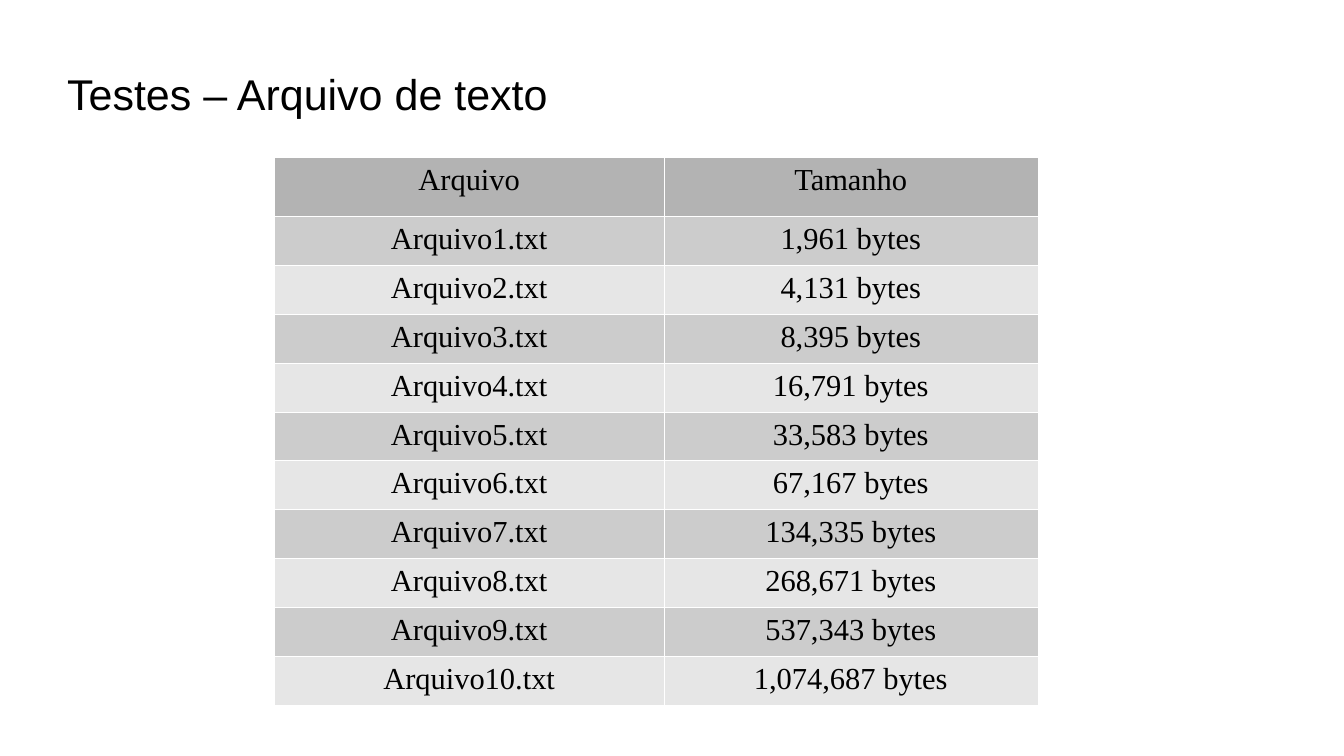
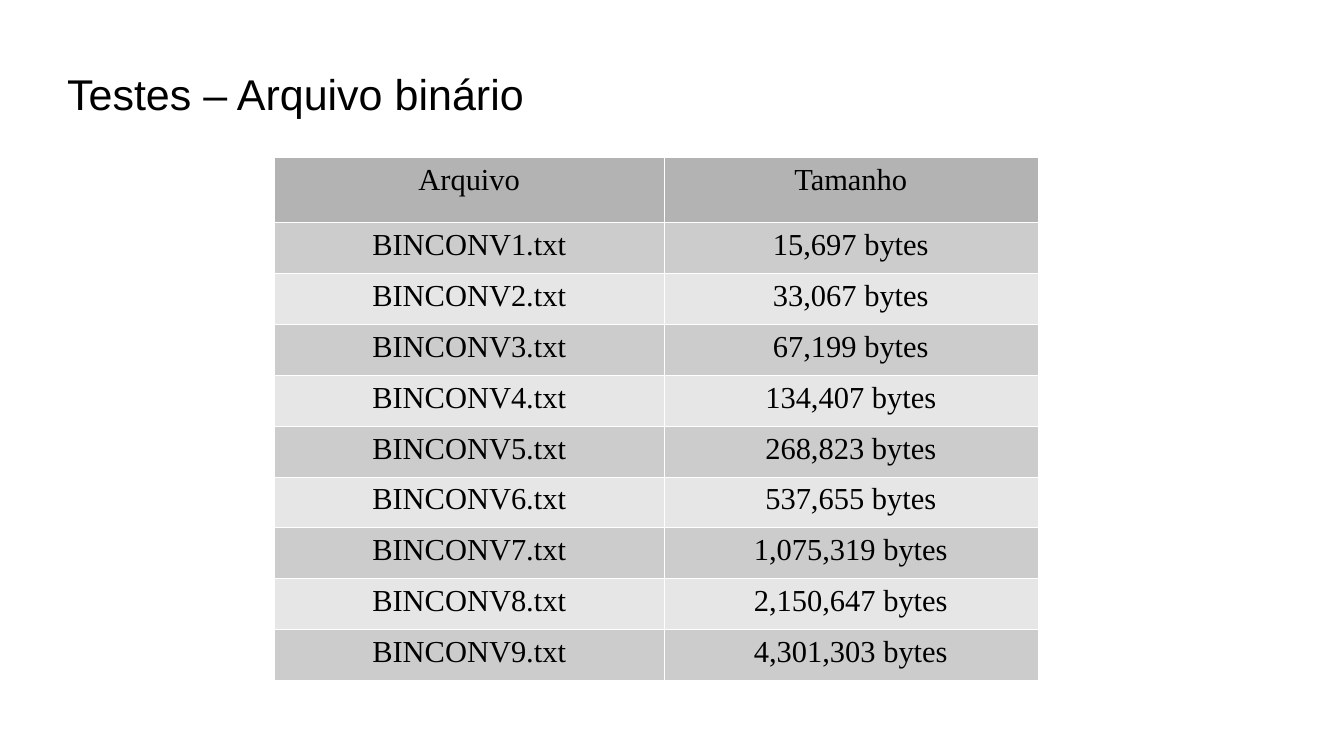
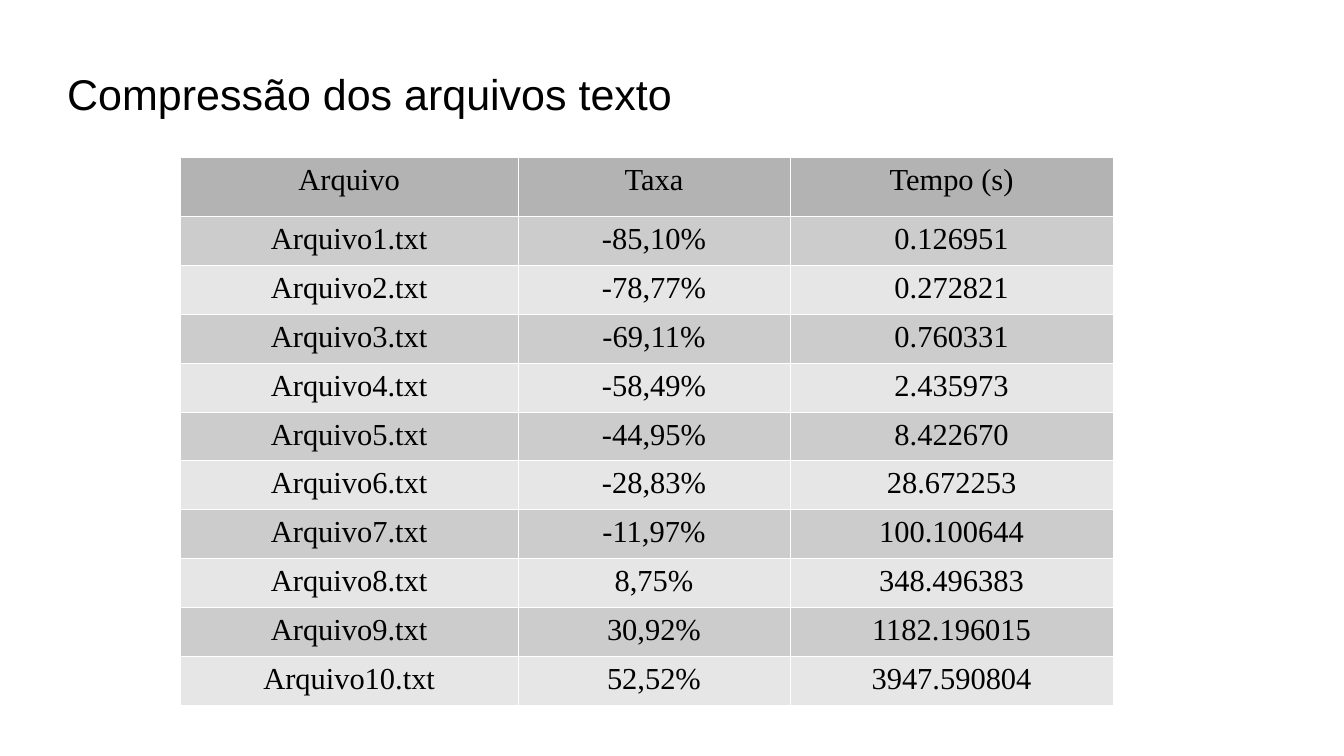
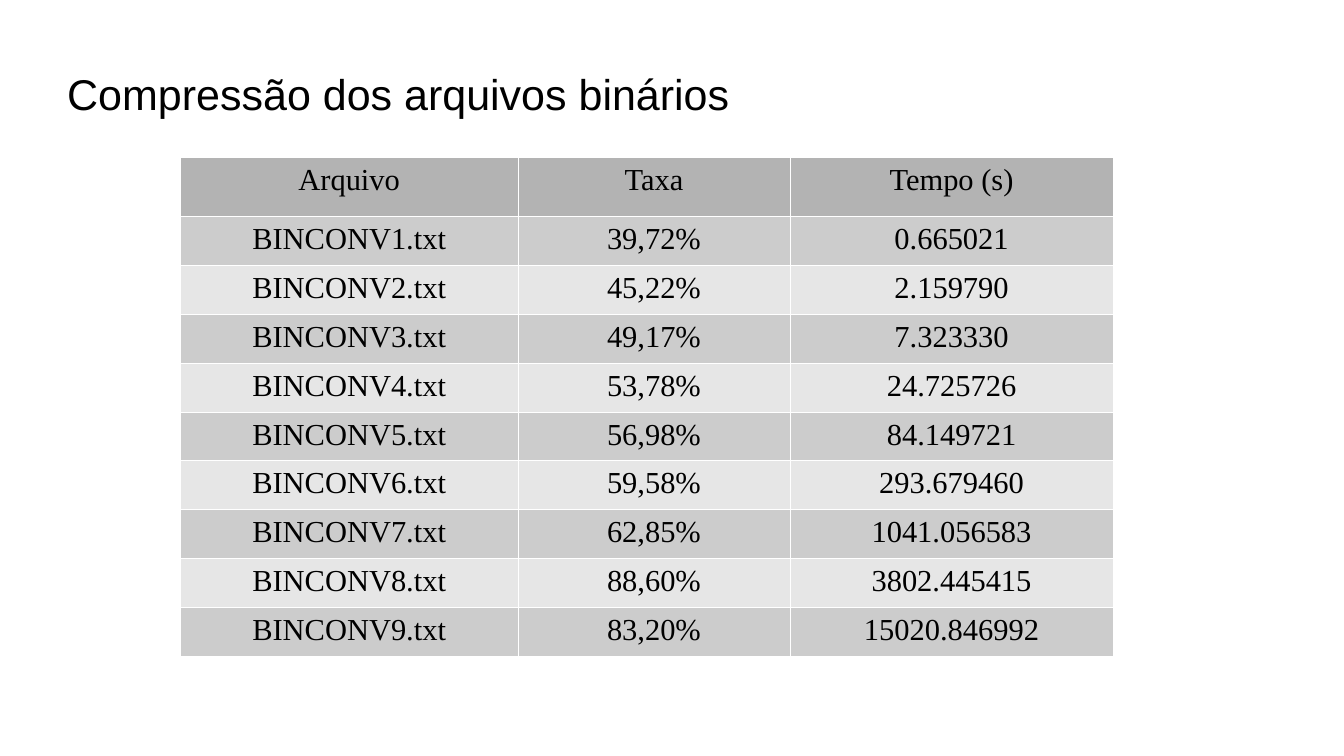
"""Build four slides that list file sizes and compression results in tables."""
from lxml import etree
from pptx import Presentation
from pptx.dml.color import RGBColor
from pptx.enum.text import MSO_ANCHOR, PP_ALIGN
from pptx.oxml.ns import qn
from pptx.util import Cm, Pt

CENTER = PP_ALIGN.CENTER
MIDDLE = MSO_ANCHOR.MIDDLE

COLORS = {
    "text": "000000",
    "header": "B3B3B3",
    "odd_row": "CCCCCC",
    "even_row": "E6E6E6",
    "border": "FFFFFF",
}
TITLE_FONT = "Arial"
TABLE_FONT = "Times New Roman"
TABLE_TOP = 3.28
BORDER_WIDTH = Pt(0.06)

SIZE_HEADER = ("Arquivo", "Tamanho")
SIZE_COLUMNS = (8.11, 7.79)
RATE_HEADER = ("Arquivo", "Taxa", "Tempo (s)")
RATE_COLUMNS = (7.03, 5.67, 6.73)
SIZE_LEFT = 5.72
RATE_LEFT = 3.76
COMPACT_ROWS = (1.23, 1.015)
TALL_ROWS = (1.35, 1.06)

TEXT_SIZES = (
    "1,961", "4,131", "8,395", "16,791", "33,583",
    "67,167", "134,335", "268,671", "537,343", "1,074,687",
)
BINARY_SIZES = (
    "15,697", "33,067", "67,199", "134,407", "268,823",
    "537,655", "1,075,319", "2,150,647", "4,301,303",
)
TEXT_RATES = (
    ("-85,10%", "0.126951"),
    ("-78,77%", "0.272821"),
    ("-69,11%", "0.760331"),
    ("-58,49%", "2.435973"),
    ("-44,95%", "8.422670"),
    ("-28,83%", "28.672253"),
    ("-11,97%", "100.100644"),
    ("8,75%", "348.496383"),
    ("30,92%", "1182.196015"),
    ("52,52%", "3947.590804"),
)
BINARY_RATES = (
    ("39,72%", "0.665021"),
    ("45,22%", "2.159790"),
    ("49,17%", "7.323330"),
    ("53,78%", "24.725726"),
    ("56,98%", "84.149721"),
    ("59,58%", "293.679460"),
    ("62,85%", "1041.056583"),
    ("88,60%", "3802.445415"),
    ("83,20%", "15020.846992"),
)


def set_font(paragraph, name, size):
    """Give a paragraph its typeface, size and the text colour."""
    font = paragraph.font
    font.name = name
    font.size = Pt(size)
    font.bold = False
    font.color.rgb = RGBColor.from_string(COLORS["text"])


def add_title(slide, text):
    """Add the slide title."""
    title = slide.shapes.add_textbox(Cm(1.4), Cm(1.2), Cm(20), Cm(1.5))
    frame = title.text_frame
    frame.word_wrap = True
    frame.vertical_anchor = MIDDLE
    frame.margin_left = frame.margin_right = 0
    frame.margin_top = frame.margin_bottom = 0
    frame.text = text
    set_font(frame.paragraphs[0], TITLE_FONT, 25.4)


def add_borders(cell):
    """Draw a hairline on all four sides of a cell."""
    properties = cell._tc.get_or_add_tcPr()
    for side in ("a:lnL", "a:lnR", "a:lnT", "a:lnB"):
        line = etree.SubElement(properties, qn(side), w=str(BORDER_WIDTH))
        fill = etree.SubElement(line, qn("a:solidFill"))
        etree.SubElement(fill, qn("a:srgbClr"), val=COLORS["border"])


def fill_cell(cell, text, color):
    """Write centred text in a bordered cell of one colour."""
    add_borders(cell)
    cell.fill.solid()
    cell.fill.fore_color.rgb = RGBColor.from_string(color)
    cell.text = text
    paragraph = cell.text_frame.paragraphs[0]
    paragraph.alignment = CENTER
    set_font(paragraph, TABLE_FONT, 18)


def row_color(row_index):
    """Return the band colour of a table row."""
    if row_index == 0:
        return COLORS["header"]
    return COLORS["odd_row" if row_index % 2 else "even_row"]


def add_data_table(slide, rows, left, column_widths, row_heights):
    """Add a banded table whose first row is the header."""
    header_height, body_height = row_heights
    height = header_height + body_height * (len(rows) - 1)
    table = slide.shapes.add_table(
        len(rows), len(column_widths),
        Cm(left), Cm(TABLE_TOP), Cm(sum(column_widths)), Cm(height),
    ).table
    table.horz_banding = False
    for column, width in zip(table.columns, column_widths):
        column.width = Cm(width)
    for row_index, values in enumerate(rows):
        row = table.rows[row_index]
        row.height = Cm(body_height if row_index else header_height)
        for cell, value in zip(row.cells, values):
            fill_cell(cell, value, row_color(row_index))


def size_rows(prefix, sizes):
    """Return the header and one row per file with its size."""
    return [SIZE_HEADER] + [
        (f"{prefix}{number}.txt", f"{size} bytes")
        for number, size in enumerate(sizes, 1)
    ]


def rate_rows(prefix, results):
    """Return the header and one row per file with its rate and time."""
    return [RATE_HEADER] + [
        (f"{prefix}{number}.txt", rate, seconds)
        for number, (rate, seconds) in enumerate(results, 1)
    ]


def add_table_slide(prs, title, rows, left, column_widths, row_heights):
    """Add a slide with a title and a table."""
    slide = prs.slides.add_slide(prs.slide_layouts[6])
    add_title(slide, title)
    add_data_table(slide, rows, left, column_widths, row_heights)


def main():
    """Build and save the presentation."""
    prs = Presentation()
    prs.slide_width = Cm(28)
    prs.slide_height = Cm(15.75)
    add_table_slide(prs, "Testes – Arquivo de texto",
                    size_rows("Arquivo", TEXT_SIZES),
                    SIZE_LEFT, SIZE_COLUMNS, COMPACT_ROWS)
    add_table_slide(prs, "Testes – Arquivo binário",
                    size_rows("BINCONV", BINARY_SIZES),
                    SIZE_LEFT, SIZE_COLUMNS, TALL_ROWS)
    add_table_slide(prs, "Compressão dos arquivos texto",
                    rate_rows("Arquivo", TEXT_RATES),
                    RATE_LEFT, RATE_COLUMNS, COMPACT_ROWS)
    add_table_slide(prs, "Compressão dos arquivos binários",
                    rate_rows("BINCONV", BINARY_RATES),
                    RATE_LEFT, RATE_COLUMNS, COMPACT_ROWS)
    prs.save("out.pptx")


if __name__ == "__main__":
    main()
